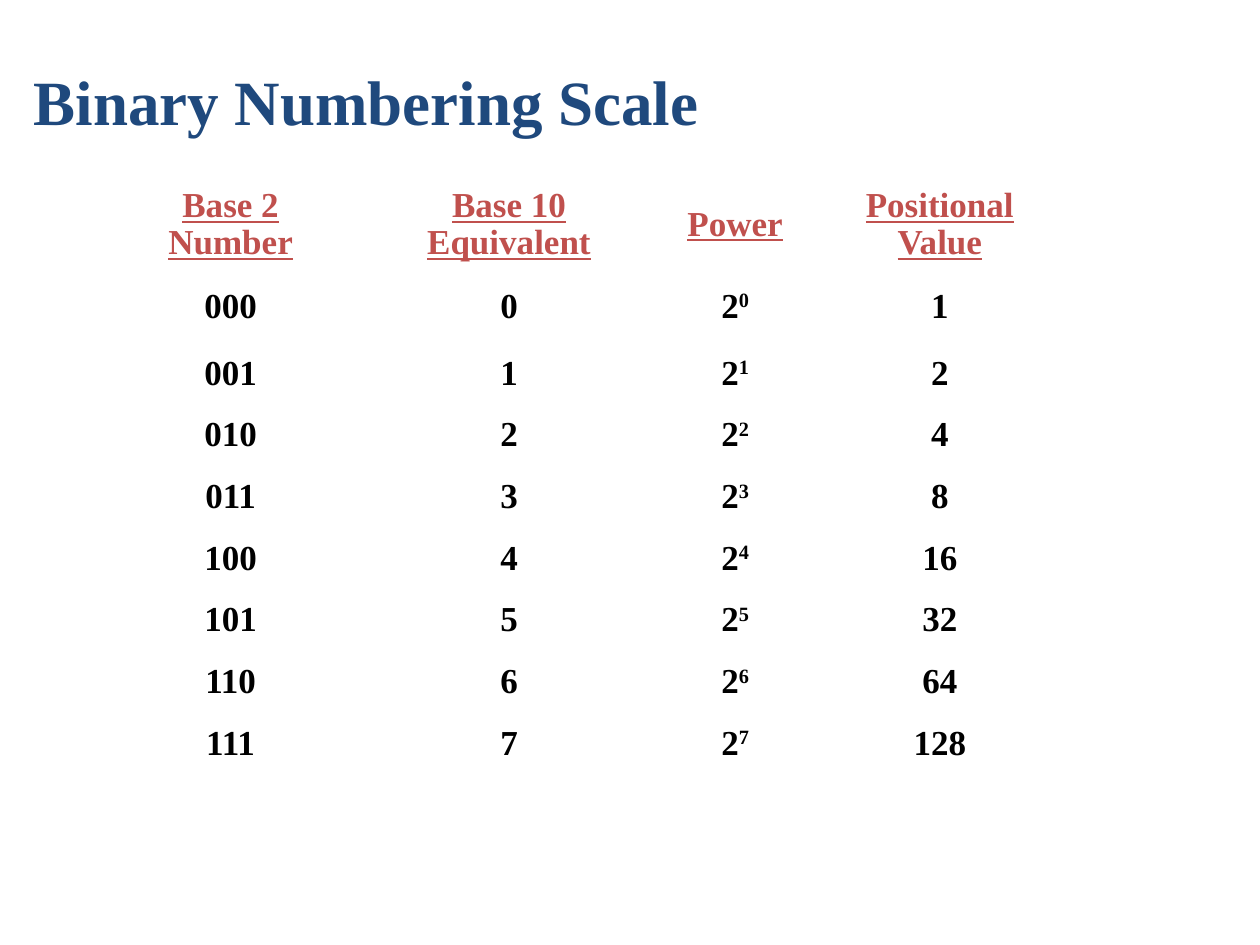
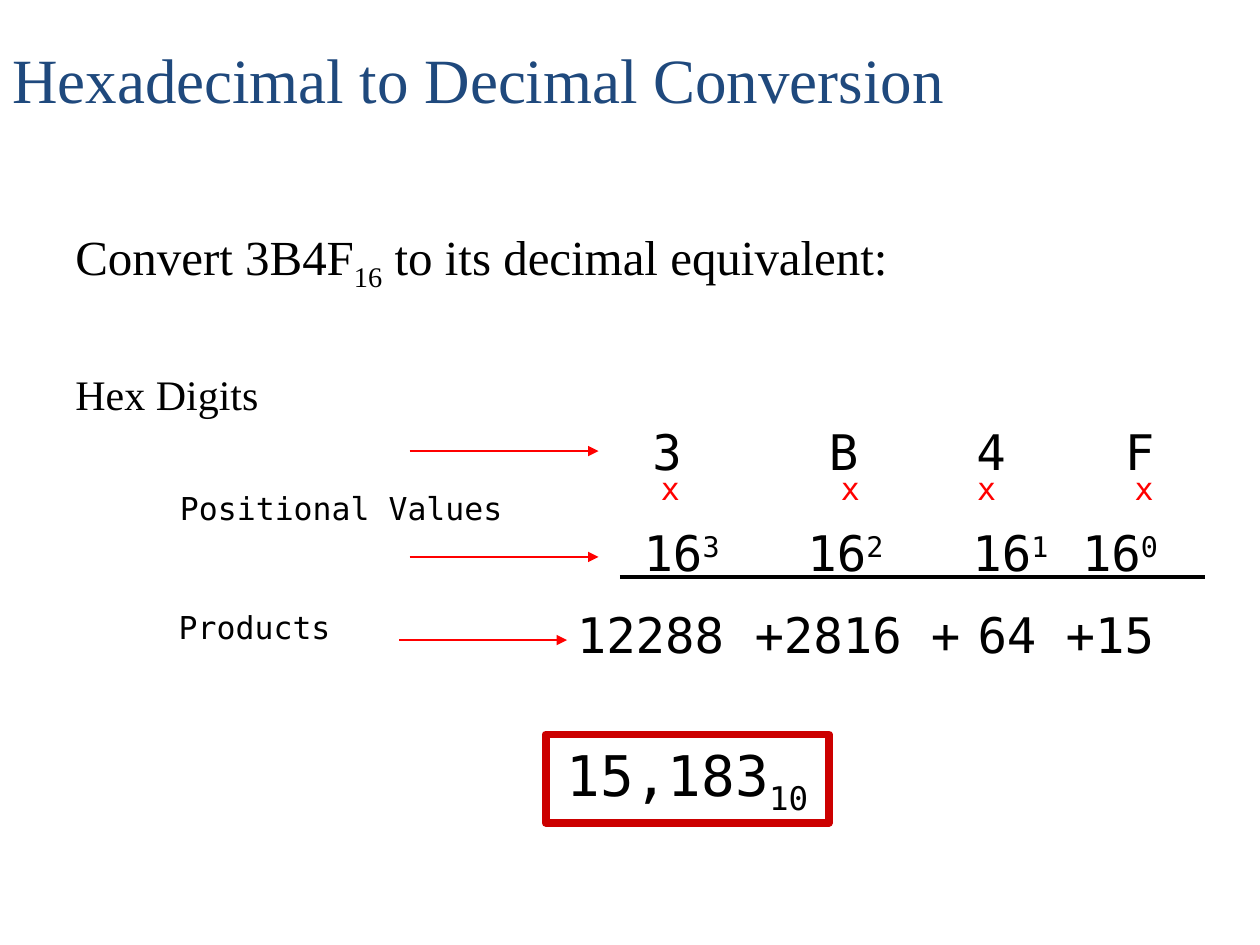
from dataclasses import dataclass

from lxml.etree import SubElement
from pptx import Presentation
from pptx.dml.color import RGBColor
from pptx.enum.shapes import MSO_CONNECTOR as Connector, MSO_SHAPE as Shape
from pptx.enum.text import MSO_ANCHOR as Anchor, PP_ALIGN as Align
from pptx.oxml.ns import qn
from pptx.util import Inches, Pt


@dataclass(frozen=True)
class Theme:
    serif: str = "Times New Roman"
    mono: str = "DejaVu Sans Mono"
    title: str = "1F497D"
    heading: str = "C0504D"
    ink: str = "000000"
    red: str = "FF0000"
    frame: str = "CC0000"
    title_size: int = 36
    result_size: int = 32
    body_size: int = 28
    step_size: int = 24
    table_size: int = 20
    label_size: int = 18
    superscript: int = 30000
    subscript: int = -25000


theme = Theme()


def write(paragraph, parts, size, font=theme.mono, color=theme.ink, shift=theme.superscript,
          bold=False, underline=False, align=Align.LEFT, tabs=()):
    paragraph.alignment = align
    for index, part in enumerate(parts):
        run = paragraph.add_run()
        run.text = part
        run.font.name = font
        run.font.size = Pt(size)
        run.font.bold = bold
        run.font.underline = underline
        run.font.color.rgb = RGBColor.from_string(color)
        if index % 2:
            run._r.get_or_add_rPr().set("baseline", str(shift))
    if tabs:
        stops = SubElement(paragraph._p.get_or_add_pPr(), qn("a:tabLst"))
        for position in tabs:
            SubElement(stops, qn("a:tab"), pos=str(Inches(position)), algn="l")


def add_text(slide, left, top, width, height, parts, size, anchor=Anchor.TOP, **style):
    box = slide.shapes.add_textbox(Inches(left), Inches(top), Inches(width), Inches(height))
    frame = box.text_frame
    frame.word_wrap = True
    frame.vertical_anchor = anchor
    write(frame.paragraphs[0], parts, size, **style)
    return frame


deck = Presentation()
deck.slide_width = Inches(10)
deck.slide_height = Inches(7.5)
blank = deck.slide_layouts[6]
scale = deck.slides.add_slide(blank)
conversion = deck.slides.add_slide(blank)

for slide, offset, title, bold in (
    (scale, 0.17, "Binary Numbering Scale", True),
    (conversion, 0, "Hexadecimal to Decimal Conversion", False),
):
    add_text(slide, offset, offset, 9, 1.25, [title], theme.title_size, Anchor.MIDDLE,
             font=theme.serif, color=theme.title, bold=bold)

headings = [["Base 2 Number"], ["Base 10 Equivalent"], ["Power"], ["Positional Value"]]
rows = [headings] + [
    [[f"{n:03b}"], [str(n)], ["2", str(n)], [str(2 ** n)]] for n in range(8)
]
column_widths = [2, 2.42, 1.17, 2.08]
row_heights = [0.7, 0.57] + [0.49] * 7
powers = scale.shapes.add_table(
    len(rows), len(headings), Inches(0.83), Inches(1.42),
    Inches(sum(column_widths)), Inches(sum(row_heights))).table
powers.first_row = False
powers.horz_banding = False
for column, width in zip(powers.columns, column_widths):
    column.width = Inches(width)
for r, (row, height) in enumerate(zip(rows, row_heights)):
    powers.rows[r].height = Inches(height)
    for c, parts in enumerate(row):
        cell = powers.cell(r, c)
        cell.fill.background()
        cell.vertical_anchor = Anchor.MIDDLE
        entry = cell.text_frame.paragraphs[0]
        entry.line_spacing = 0.95
        write(entry, parts, theme.table_size, font=theme.serif, bold=True, underline=r == 0,
              color=theme.ink if r else theme.heading, align=Align.CENTER)

task = add_text(conversion, 0.5, 1.75, 9, 4.95,
                ["Convert 3B4F", "16", " to its decimal equivalent:"], theme.body_size,
                font=theme.serif, shift=theme.subscript)
first_step = task.add_paragraph()
first_step.space_before = Pt(43)
write(first_step, ["Hex Digits"], theme.step_size, font=theme.serif)

for left, top, width, parts, tabs in (
    (5.08, 3.3, 4.92, ["3\tB\t4\tF"], (1.4, 2.57, 3.75)),
    (4.78, 4.1, 4.8, ["\t16", "3", "\t16", "2", "\t16", "1", "\t16", "0"],
     (0.23, 1.53, 2.84, 3.71)),
    (4.25, 4.75, 5.25, ["\t12288\t+2816\t+\t64\t+15"], (0.23, 1.64, 3.04, 3.41, 4.11)),
):
    add_text(conversion, left, top, width, 0.57, parts, theme.body_size, tabs=tabs)

for left in (5.07, 6.5, 7.58, 8.83):
    add_text(conversion, left, 3.67, 0.5, 0.5, ["x"], theme.label_size,
             color=theme.red, align=Align.CENTER)

add_text(conversion, 1.33, 3.83, 2.95, 0.9, ["Positional Values"], theme.label_size)
add_text(conversion, 1.32, 4.78, 2.58, 0.5, ["Products"], theme.label_size)

for start, end, y, color, weight, is_arrow in (
    (4.92, 9.56, 4.58, theme.ink, 2.25, False),
    (3.25, 4.75, 3.58, theme.red, 1, True),
    (3.25, 4.75, 4.42, theme.red, 1, True),
    (3.17, 4.5, 5.08, theme.red, 1, True),
):
    rule = conversion.shapes.add_connector(
        Connector.STRAIGHT, Inches(start), Inches(y), Inches(end), Inches(y))
    rule.line.color.rgb = RGBColor.from_string(color)
    rule.line.width = Pt(weight)
    if is_arrow:
        SubElement(rule.line._get_or_add_ln(), qn("a:tailEnd"), type="triangle")
    SubElement(rule._element.spPr, qn("a:effectLst"))

result = conversion.shapes.add_shape(
    Shape.RECTANGLE, Inches(4.33), Inches(5.83), Inches(2.25), Inches(0.7))
result.shadow.inherit = False
result.fill.background()
result.line.color.rgb = RGBColor.from_string(theme.frame)
result.line.width = Pt(4.5)
result.text_frame.vertical_anchor = Anchor.TOP
write(result.text_frame.paragraphs[0], ["15,183", "10"], theme.result_size,
      shift=theme.subscript, align=Align.CENTER)

deck.save("out.pptx")
